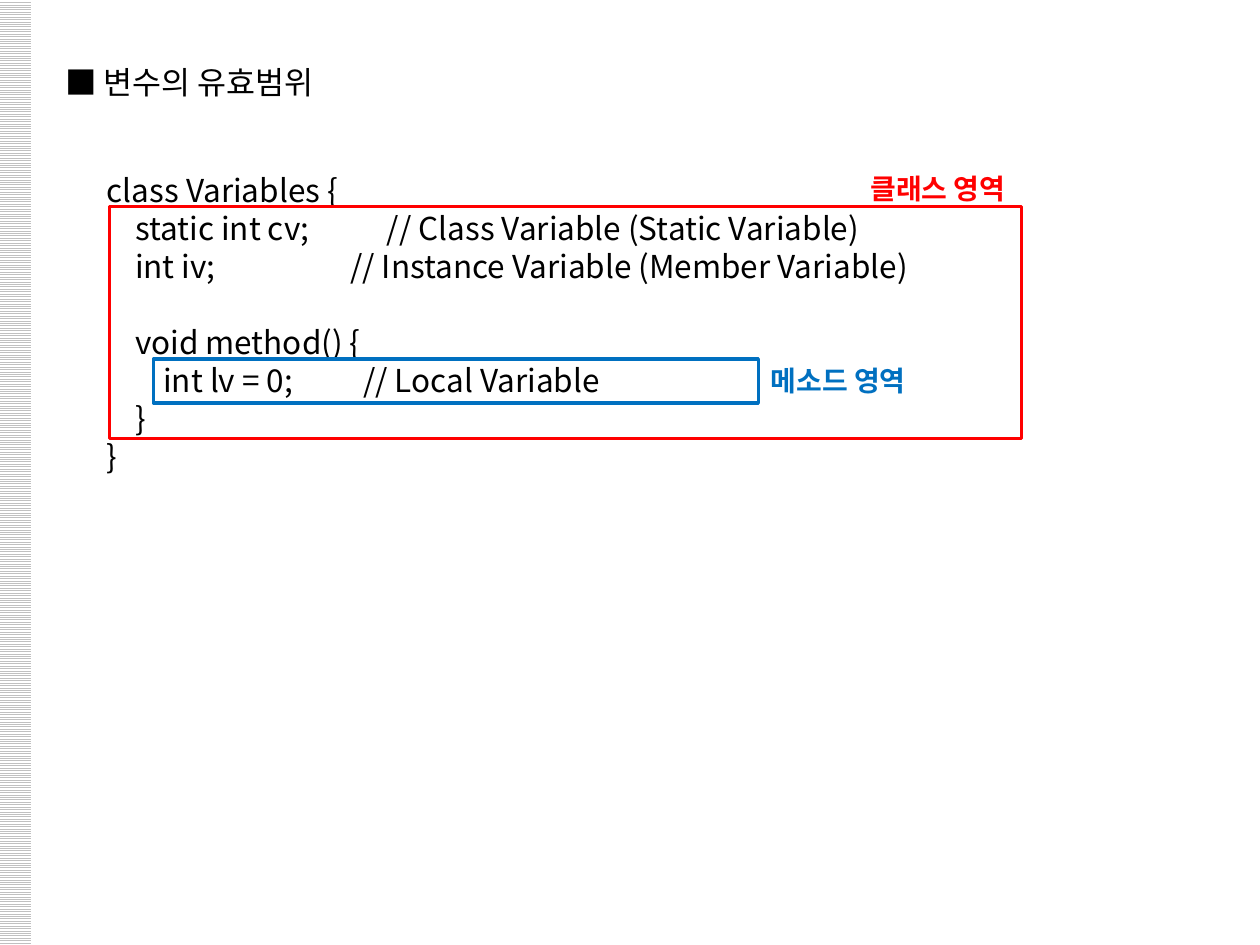
from lxml import etree
from pptx import Presentation
from pptx.dml.color import RGBColor
from pptx.enum import dml, shapes, text
from pptx.oxml.ns import qn
from pptx.util import Pt

FONT = "Noto Sans CJK KR"
BLACK, RED, BLUE = "000000", "FF0000", "0070C0"
CODE_LINE = 21.7

# Each line: code, comment, tab position of the comment, space before
CODE = [
    ("class Variables {", "", 0, 0),
    ("    static int cv;", "// Class Variable (Static Variable)", 160, 0),
    ("    int iv;", "// Instance Variable (Member Variable)", 139, 0),
    ("    void method() {", "", 0, CODE_LINE),
    ("        int lv = 0;", "// Local Variable", 146.5, 0),
    ("    }", "", 0, 0),
    ("}", "", 0, 0),
]


def color(value):
    return RGBColor.from_string(value)


def write(para, words, size=18, fill=BLACK, bold=False, spacing=CODE_LINE, before=0, tab=0):
    properties = para._p.get_or_add_pPr()
    if tab:
        tabs = etree.SubElement(properties, qn("a:tabLst"))
        etree.SubElement(tabs, qn("a:tab"), pos=str(Pt(tab)), algn="l")
    para.alignment = text.PP_ALIGN.LEFT
    para.line_spacing = Pt(spacing)
    if before:
        para.space_before = Pt(before)
    span = para.add_run()
    span.text = words
    span.font.name = FONT
    span.font.size = Pt(size)
    span.font.bold = bold
    span.font.color.rgb = color(fill)
    # Korean letters take the East Asian font
    etree.SubElement(span._r.get_or_add_rPr(), qn("a:ea"), typeface=FONT)


def place_frame(shape):
    frame = shape.text_frame
    frame.word_wrap = True
    frame.auto_size = text.MSO_AUTO_SIZE.NONE
    frame.vertical_anchor = text.MSO_ANCHOR.TOP
    return frame


def add_rectangle(page, box):
    shape = page.shapes.add_shape(shapes.MSO_SHAPE.RECTANGLE, *map(Pt, box))
    shape.shadow.inherit = False
    return shape


def add_stripe(page, box):
    stripe = add_rectangle(page, box)
    stripe.line.fill.background()
    stripe.fill.patterned()
    stripe.fill.pattern = dml.MSO_PATTERN.LIGHT_HORIZONTAL
    stripe.fill.fore_color.rgb = color("C0C0C0")
    stripe.fill.back_color.rgb = color("FFFFFF")


def add_title(page, box):
    title = page.shapes.title
    title.left, title.top, title.width, title.height = map(Pt, box)
    write(place_frame(title).paragraphs[0], "■ 변수의 유효범위", spacing=33)


def add_code(page, box):
    frame = place_frame(page.shapes.add_textbox(*map(Pt, box)))
    for index, (code, comment, tab, before) in enumerate(CODE):
        para = frame.add_paragraph() if index else frame.paragraphs[0]
        words = f"{code}\t{comment}" if comment else code
        write(para, words, before=before, tab=tab)


def add_scope(page, box, name, label_left, label_top, fill):
    # Outline of the scope
    outline = add_rectangle(page, box)
    outline.fill.background()
    outline.line.color.rgb = color(fill)
    outline.line.width = Pt(2)
    # Name of the scope
    label = page.shapes.add_textbox(Pt(label_left), Pt(label_top), Pt(100.8), Pt(26.6))
    write(place_frame(label).paragraphs[0], name, size=16, fill=fill, bold=True, spacing=19.4)


def main():
    deck = Presentation()
    deck.slide_width, deck.slide_height = Pt(720), Pt(540)
    page = deck.slides.add_slide(deck.slide_layouts[5])
    add_stripe(page, (-0.7, 0, 18.7, 540))
    add_title(page, (30.2, 20.9, 172.8, 40.3))
    add_code(page, (54, 94.3, 525.6, 181.4))
    add_scope(page, (62.6, 118.1, 521.3, 132.5), "클래스 영역", 490.3, 94.3, RED)
    add_scope(page, (87.8, 205.2, 345.6, 25.2), "메소드 영역", 433.4, 203.8, BLUE)
    deck.save("out.pptx")


if __name__ == "__main__":
    main()
